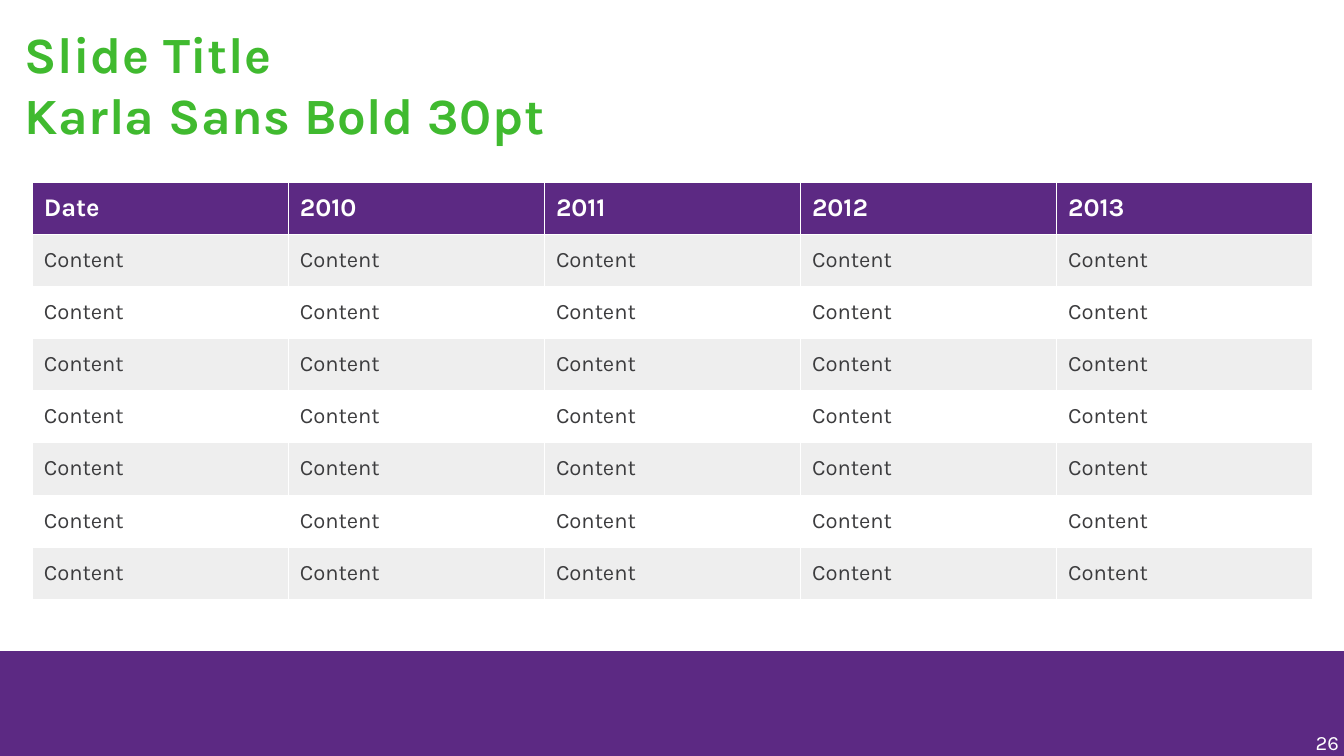
from lxml import etree
from pptx import Presentation
from pptx.dml.color import RGBColor
from pptx.enum.shapes import MSO_SHAPE
from pptx.enum.text import MSO_ANCHOR, PP_ALIGN
from pptx.oxml.ns import qn
from pptx.util import Pt

RECTANGLE = MSO_SHAPE.RECTANGLE
TOP, MIDDLE = MSO_ANCHOR.TOP, MSO_ANCHOR.MIDDLE
LEFT, RIGHT = PP_ALIGN.LEFT, PP_ALIGN.RIGHT

FONT = "Karla"
PURPLE, GREEN, WHITE = "5C2983", "40BA2F", "FFFFFF"
GREY, DARK = "EEEEEE", "3C3C3E"

SLIDE_WIDTH, SLIDE_HEIGHT = 793.44, 446.4
FOOTER_TOP = 384.5
COLUMN_WIDTH, ROW_HEIGHT = 151.2, 30.8
HEADINGS = ["Date", "2010", "2011", "2012", "2013"]
CONTENT_ROWS = 7


def color(value):
    return RGBColor.from_string(value)


def fill(target, value):
    target.fill.solid()
    target.fill.fore_color.rgb = color(value)


def format_text(text_frame, size, value, bold=False, align=LEFT):
    for paragraph in text_frame.paragraphs:
        paragraph.alignment = align
        for run in paragraph.runs:
            run.font.name = FONT
            run.font.size = Pt(size)
            run.font.bold = bold
            run.font.color.rgb = color(value)


def remove_margins(text_frame, anchor):
    text_frame.margin_left = text_frame.margin_right = 0
    text_frame.margin_top = text_frame.margin_bottom = 0
    text_frame.vertical_anchor = anchor
    text_frame.word_wrap = True


def place(shape, left, top, width, height):
    shape.left, shape.top = Pt(left), Pt(top)
    shape.width, shape.height = Pt(width), Pt(height)


def set_title(slide, text):
    title = slide.shapes.title
    place(title, 14.6, 13.7, 754.6, 56.2)
    title.text_frame.text = text
    remove_margins(title.text_frame, TOP)
    format_text(title.text_frame, 30, GREEN, bold=True)
    for run in title.text_frame.paragraphs[0].runs:
        run.font._element.set("spc", "30")


def add_footer(slide):
    band = slide.shapes.add_shape(
        RECTANGLE, 0, Pt(FOOTER_TOP), Pt(SLIDE_WIDTH), Pt(SLIDE_HEIGHT - FOOTER_TOP))
    band.shadow.inherit = False
    fill(band, PURPLE)
    band.line.fill.background()


def add_page_number(slide, number):
    box = slide.shapes.add_textbox(Pt(733), Pt(425.5), Pt(57.5), Pt(25.2))
    box.text_frame.text = number
    remove_margins(box.text_frame, MIDDLE)
    format_text(box.text_frame, 12, WHITE, align=RIGHT)


def add_borders(cell):
    properties = cell._tc.get_or_add_tcPr()
    for index, side in enumerate(["a:lnL", "a:lnR", "a:lnT", "a:lnB"]):
        line = etree.Element(qn(side), w=str(Pt(0.06)))
        solid = etree.SubElement(line, qn("a:solidFill"))
        etree.SubElement(solid, qn("a:srgbClr"), val=WHITE)
        properties.insert(index, line)


def fill_cell(cell, text, background, size, value, bold):
    cell.text_frame.text = text
    cell.vertical_anchor = MIDDLE
    format_text(cell.text_frame, size, value, bold)
    fill(cell, background)
    add_borders(cell)


def add_content_table(slide):
    row_count, column_count = CONTENT_ROWS + 1, len(HEADINGS)
    table = slide.shapes.add_table(
        row_count, column_count, Pt(18.7), Pt(107.4),
        Pt(COLUMN_WIDTH * column_count), Pt(ROW_HEIGHT * row_count)).table
    for column in table.columns:
        column.width = Pt(COLUMN_WIDTH)
    for row in table.rows:
        row.height = Pt(ROW_HEIGHT)
    for column, heading in enumerate(HEADINGS):
        fill_cell(table.cell(0, column), heading, PURPLE, 15, WHITE, True)
        for row in range(1, row_count):
            background = GREY if row % 2 else WHITE
            fill_cell(table.cell(row, column), "Content", background, 13, DARK, False)


def main():
    presentation = Presentation()
    presentation.slide_width = Pt(SLIDE_WIDTH)
    presentation.slide_height = Pt(SLIDE_HEIGHT)
    slide = presentation.slides.add_slide(presentation.slide_layouts[5])
    set_title(slide, "Slide Title\vKarla Sans Bold 30pt")
    add_footer(slide)
    add_page_number(slide, "26")
    add_content_table(slide)
    presentation.save("out.pptx")


if __name__ == "__main__":
    main()
